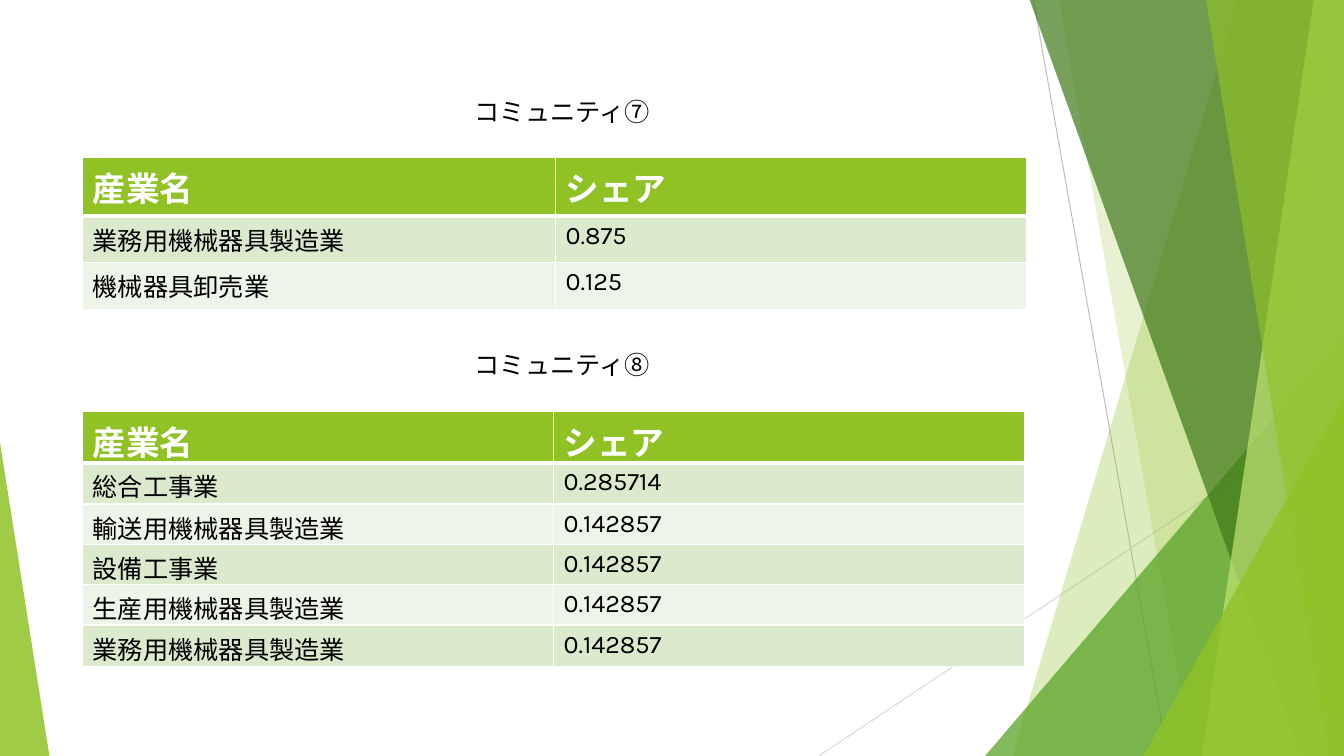
from dataclasses import dataclass

from lxml import etree
from pptx import Presentation
from pptx.dml.color import RGBColor
from pptx.enum import shapes, text
from pptx.oxml import ns
from pptx.util import Inches, Pt

WIDTH, HEIGHT = 13.33, 7.5
BAND_TOP = -0.01
LATIN_FONT, JAPANESE_FONT = "Karla", "Noto Sans CJK JP"
LIME, WHITE, BLACK = "90C226", "FFFFFF", "000000"
ROW_FILLS = ("DBE9CD", "EEF4E8")
HEADER = ("産業名", "シェア")


@dataclass
class Line:
    start: tuple[float, float]
    end: tuple[float, float]
    color: str


@dataclass
class Band:
    """Full-height shape from a slanted left side to the slide's right edge."""
    top_x: float
    bottom_x: float
    color: str
    opacity: int


@dataclass
class Triangle:
    left: float
    top: float
    width: float
    apex: float
    color: str
    opacity: int


@dataclass
class Community:
    caption: str
    caption_top: float
    caption_width: float
    table_top: float
    column_widths: tuple[float, float]
    row_heights: tuple[float, ...]
    shares: list[tuple[str, str]]


LINES = [
    Line((10.25, 0), (11.58, HEIGHT), "BFBFBF"),
    Line((WIDTH, 4.03), (8.12, HEIGHT), "D9D9D9"),
]
FACETS = [
    Band(12.28, 10.04, LIME, 30),
    Band(10.5, 11.83, LIME, 20),
    Triangle(9.77, 3.33, 3.56, 1, "54A021", 72),
    Band(10.21, 12.91, "3F7819", 70),
    Band(13.03, 11.92, "C0E474", 70),
    Band(11.96, 13.18, LIME, 65),
    Triangle(11.34, 3.93, 1.99, 1, LIME, 80),
    Triangle(0, 4.39, 0.49, 0, LIME, 85),
]
COMMUNITIES = [
    Community("コミュニティ⑦", 0.91, 3.2, 1.56, (4.69, 4.67), (0.51, 0.41, 0.41), [
        ("業務用機械器具製造業", "0.875"),
        ("機械器具卸売業", "0.125"),
    ]),
    Community("コミュニティ⑧", 3.42, 2.66, 4.08, (4.67, 4.67),
              (0.51, 0.41, 0.38, 0.36, 0.39, 0.41), [
        ("総合工事業", "0.285714"),
        ("輸送用機械器具製造業", "0.142857"),
        ("設備工事業", "0.142857"),
        ("生産用機械器具製造業", "0.142857"),
        ("業務用機械器具製造業", "0.142857"),
    ]),
]


def rgb(color: str) -> RGBColor:
    return RGBColor.from_string(color)


def write_text(frame, content: str, *, size: float = 18, color: str = BLACK,
               bold: bool = False, font: str = LATIN_FONT) -> None:
    run = frame.paragraphs[0].add_run()
    run.text = content
    run.font.name = font
    run.font.size = Pt(size)
    run.font.bold = bold
    run.font.color.rgb = rgb(color)
    east_asian = etree.Element(ns.qn("a:ea"), typeface=JAPANESE_FONT)
    run.font._element.find(ns.qn("a:latin")).addnext(east_asian)


def add_line(slide, line: Line) -> None:
    connector = slide.shapes.add_connector(
        shapes.MSO_CONNECTOR.STRAIGHT, *map(Inches, line.start + line.end))
    connector.line.color.rgb = rgb(line.color)
    connector.line.width = Pt(0.75)
    etree.SubElement(connector._element.spPr, ns.qn("a:effectLst"))


def add_facet(slide, facet: Band | Triangle) -> None:
    if isinstance(facet, Band):
        corners = [(facet.top_x, BAND_TOP), (WIDTH, BAND_TOP),
                   (WIDTH, HEIGHT), (facet.bottom_x, HEIGHT)]
        points = [(Inches(x), Inches(y)) for x, y in corners]
        builder = slide.shapes.build_freeform(*points[0])
        builder.add_line_segments(points[1:], close=True)
        shape = builder.convert_to_shape()
    else:
        shape = slide.shapes.add_shape(
            shapes.MSO_SHAPE.ISOSCELES_TRIANGLE, Inches(facet.left), Inches(facet.top),
            Inches(facet.width), Inches(HEIGHT - facet.top))
        shape.adjustments[0] = facet.apex
    shape.shadow.inherit = False
    shape.line.fill.background()
    shape.fill.solid()
    shape.fill.fore_color.rgb = rgb(facet.color)
    color = shape._element.spPr.find(".//" + ns.qn("a:srgbClr"))
    etree.SubElement(color, ns.qn("a:alpha"), val=str(facet.opacity * 1000))


def set_borders(cell, bottom_width: float) -> None:
    properties = cell._tc.get_or_add_tcPr()
    widths = {"lnL": 1, "lnR": 1, "lnT": 1, "lnB": bottom_width}
    for position, (side, width) in enumerate(widths.items()):
        border = etree.Element(ns.qn(f"a:{side}"), w=str(Pt(width)))
        fill = etree.SubElement(border, ns.qn("a:solidFill"))
        etree.SubElement(fill, ns.qn("a:srgbClr"), val=WHITE)
        properties.insert(position, border)


def add_community(slide, community: Community) -> None:
    rows = [HEADER, *community.shares]
    table = slide.shapes.add_table(
        len(rows), len(HEADER), Inches(0.82), Inches(community.table_top),
        Inches(sum(community.column_widths)), Inches(sum(community.row_heights))).table
    for column, width in zip(table.columns, community.column_widths):
        column.width = Inches(width)
    for row_index, values in enumerate(rows):
        is_header = row_index == 0
        table.rows[row_index].height = Inches(community.row_heights[row_index])
        for column_index, value in enumerate(values):
            cell = table.cell(row_index, column_index)
            cell.fill.solid()
            cell.fill.fore_color.rgb = rgb(LIME if is_header else ROW_FILLS[(row_index - 1) % 2])
            set_borders(cell, 3 if is_header else 1)
            if is_header:
                write_text(cell.text_frame, value, size=24, color=WHITE, bold=True)
            else:
                font = JAPANESE_FONT if column_index == 0 else LATIN_FONT
                write_text(cell.text_frame, value, font=font)

    caption = slide.shapes.add_textbox(
        Inches(4.61), Inches(community.caption_top), Inches(community.caption_width), Inches(0.4))
    caption.text_frame.word_wrap = True
    caption.text_frame.auto_size = text.MSO_AUTO_SIZE.SHAPE_TO_FIT_TEXT
    write_text(caption.text_frame, community.caption)


def main() -> None:
    presentation = Presentation()
    presentation.slide_width, presentation.slide_height = Inches(WIDTH), Inches(HEIGHT)
    slide = presentation.slides.add_slide(presentation.slide_layouts[6])
    for line in LINES:
        add_line(slide, line)
    for facet in FACETS:
        add_facet(slide, facet)
    for community in COMMUNITIES:
        add_community(slide, community)
    presentation.save("out.pptx")


if __name__ == "__main__":
    main()
